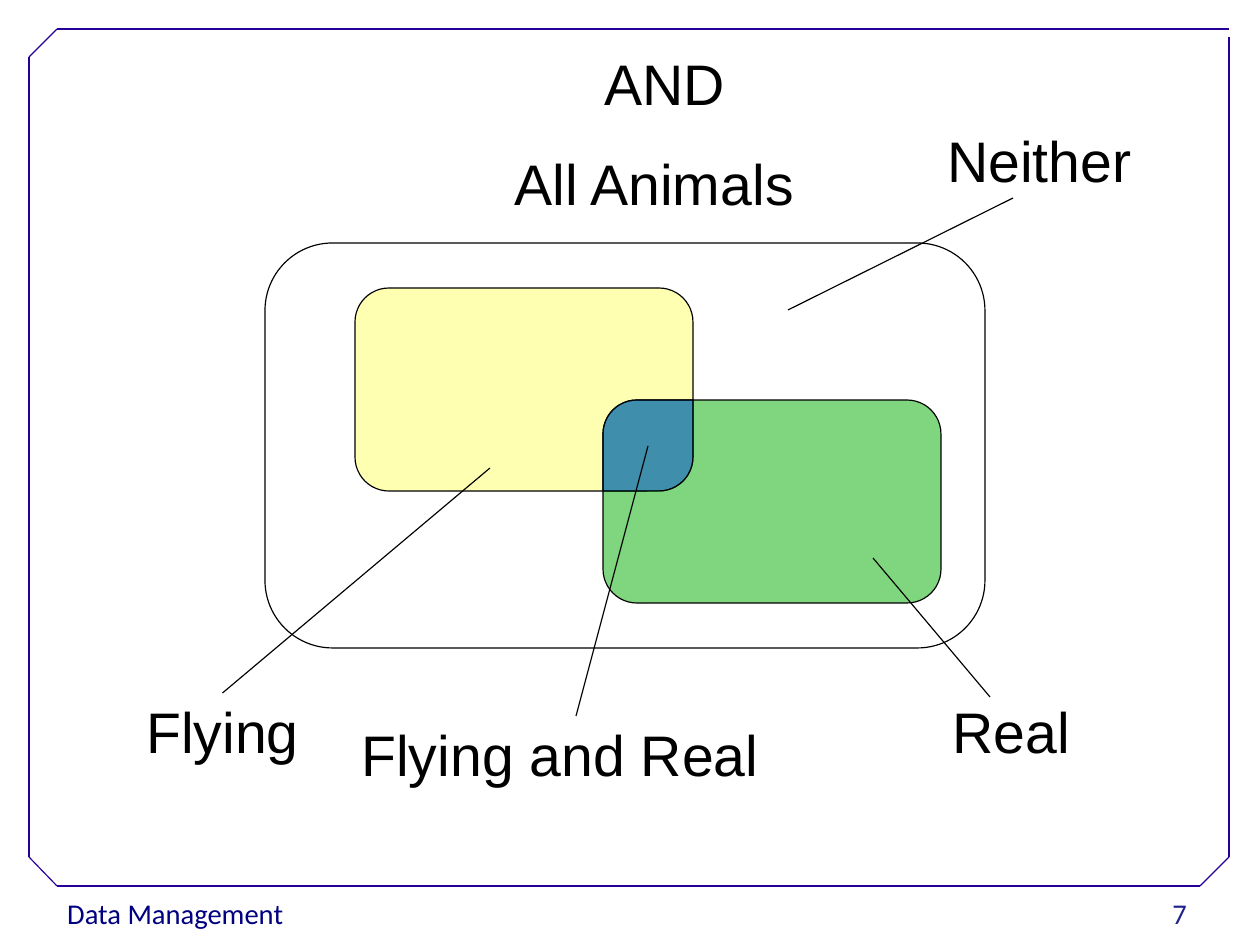
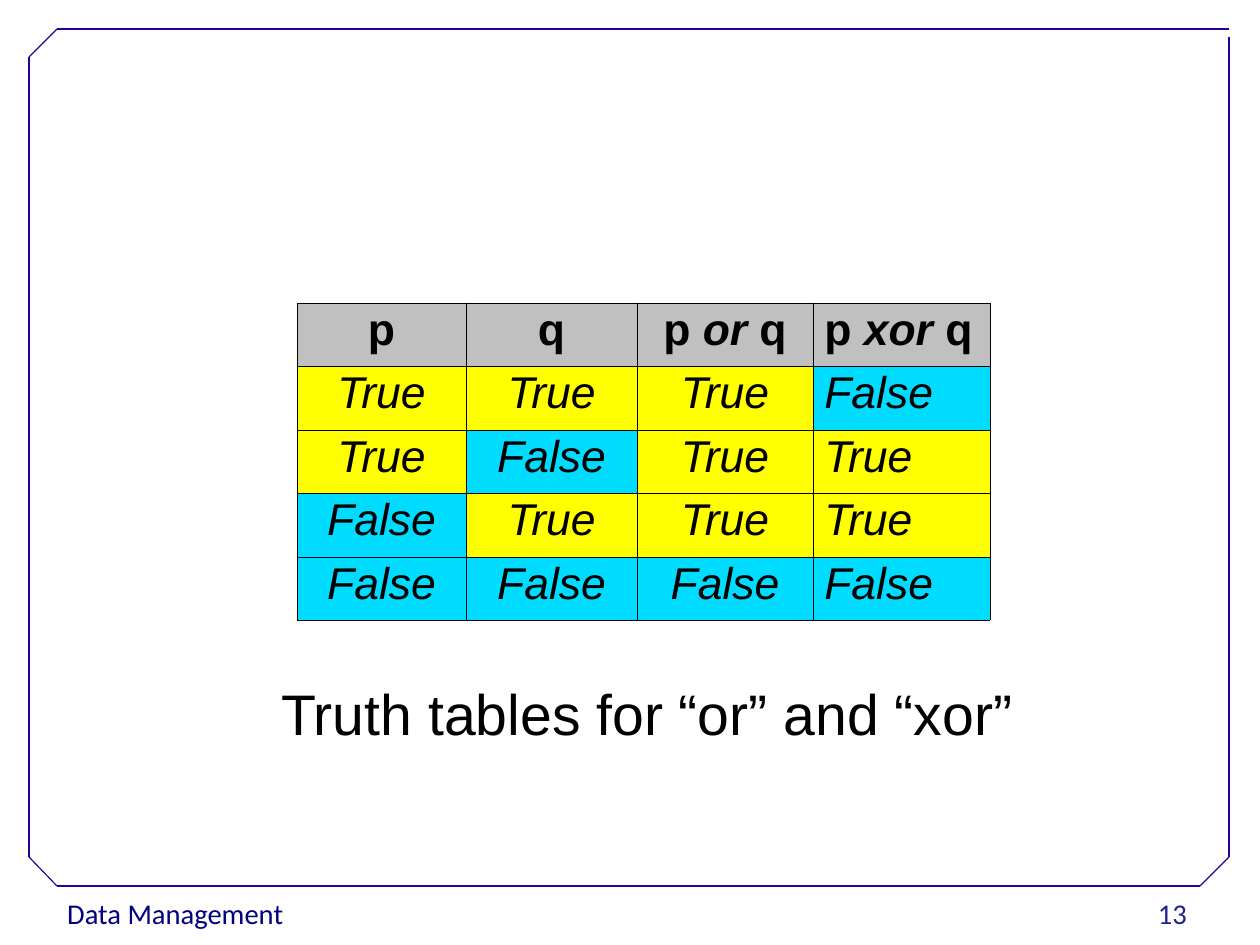
from itertools import pairwise

from lxml.etree import SubElement
from pptx import Presentation
from pptx.dml.color import RGBColor
from pptx.enum.shapes import MSO_CONNECTOR, MSO_SHAPE
from pptx.enum.text import MSO_ANCHOR, PP_ALIGN
from pptx.oxml.ns import qn
from pptx.util import Emu, Pt

PX = 8000  # EMU in one px
SLIDE_SIZE = (1260, 945)
COLORS = {
    "frame": "280099", "footer": "000080", "number": "22228B",
    "black": "000000", "white": "FFFFFF",
    "flying": "FFFF66", "real": "00AE00", "both": "0047FF",
    "header": "C0C0C0", "True": "FFFF00", "False": "00DCFF",
}
LEFT, CENTER, RIGHT = PP_ALIGN.LEFT, PP_ALIGN.CENTER, PP_ALIGN.RIGHT

FOOTER = "Data Management"
FRAME = [(1229, 29), (57, 29), (29, 57), (29, 857), (57, 886),
         (1200, 886), (1229, 857), (1229, 37)]

ANIMALS = (265, 243, 720, 405)
FLYING = (355, 288, 338, 203)
REAL = (603, 400, 338, 203)
CORNER = 0.167

# text, box, alignment
VENN_TITLES = [
    ("AND", (588, 45, 153, 75), CENTER),
    ("All Animals", (503, 145, 302, 75), LEFT),
]
# text, box, alignment, point in the diagram, end near the label (None: its top middle)
VENN_LABELS = [
    ("Flying", (135, 693, 175, 75), LEFT, (490, 468), None),
    ("Real", (941, 693, 141, 75), LEFT, (873, 558), (990, 697)),
    ("Flying and Real", (345, 716, 430, 75), CENTER, (648, 446), (576, 716)),
    ("Neither", (936, 122, 207, 75), LEFT, (788, 310), (1013, 198)),
]

TRUTH_HEADER = [("p",), ("q",), ("p ", "or", " q"), ("p ", "xor", " q")]
TRUTH_ROWS = [
    ("True", "True", "True", "False"),
    ("True", "False", "True", "True"),
    ("False", "True", "True", "True"),
    ("False", "False", "False", "False"),
]
TRUTH_ALIGN = (CENTER, CENTER, CENTER, LEFT)
TRUTH_AT = (297, 303)
TRUTH_COLUMNS = (169, 171, 176, 177)
TRUTH_HEIGHTS = (63, 64, 63, 64, 63)
TRUTH_CAPTION = ("Truth tables for “or” and “xor”", (270, 675, 754, 75), LEFT)


def emu(lengths):
    return [Emu(length * PX) for length in lengths]


def rgb(name):
    return RGBColor.from_string(COLORS[name])


def add_run(paragraph, text, size, color="black", font="Arial", bold=False, italic=False):
    run = paragraph.add_run()
    run.text = text
    run.font.name, run.font.size = font, Pt(size)
    run.font.bold, run.font.italic = bold, italic
    run.font.color.rgb = rgb(color)


def add_text(slide, text, box, align=LEFT, size=36, color="black", font="Arial",
             top_inset=9, spacing=0.93, wrap=False):
    """Text box; left-aligned text may run to its right edge, so that it keeps to one line."""
    label = slide.shapes.add_textbox(*emu(box))
    frame = label.text_frame
    frame.word_wrap = wrap
    frame.margin_top = Emu(top_inset * PX)
    if align == LEFT:
        frame.margin_right = 0
    paragraph = frame.paragraphs[0]
    paragraph.alignment, paragraph.line_spacing = align, spacing
    add_run(paragraph, text, size, color, font)
    return label


def add_line(slide, start, end, color="black"):
    line = slide.shapes.add_connector(MSO_CONNECTOR.STRAIGHT, *emu(start + end))
    line.line.color.rgb = rgb(color)
    line.line.width = Pt(0.75)
    SubElement(line._element.spPr, qn("a:effectLst"))
    return line


def add_region(slide, box, fill=None, preset=MSO_SHAPE.ROUNDED_RECTANGLE, corner=CORNER):
    """Outlined rounded area, filled at half strength if a fill is given."""
    region = slide.shapes.add_shape(preset, *emu(box))
    region.shadow.inherit = False
    region.adjustments[0] = corner
    if fill:
        region.fill.solid()
        region.fill.fore_color.rgb = rgb(fill)
        fill_color = region._element.spPr.find(qn("a:solidFill"))[0]
        SubElement(fill_color, qn("a:alpha"), val="50000")
    else:
        region.fill.background()
    region.line.color.rgb = rgb("black")
    region.line.width = Pt(0.75)


def add_borders(cell):
    properties = cell._tc.get_or_add_tcPr()
    for side in ("a:lnL", "a:lnR", "a:lnT", "a:lnB"):
        border = SubElement(properties, qn(side), w=str(Pt(0.45)))
        SubElement(SubElement(border, qn("a:solidFill")), qn("a:srgbClr"), val=COLORS["black"])


def start_slide(deck, number):
    """Add a slide with the shared frame, footer and slide number."""
    slide = deck.slides.add_slide(deck.slide_layouts[6])
    footer = add_text(slide, FOOTER, (56, 889, 240, 46), LEFT, 18, "footer", "Calibri",
                      top_inset=6, spacing=1.02)
    footer.fill.solid()
    footer.fill.fore_color.rgb = rgb("white")
    for start, end in pairwise(FRAME):
        add_line(slide, start, end, "frame")
    page = add_text(slide, str(number), (904, 890, 294, 50), RIGHT, 18, "number", "Calibri",
                    top_inset=6, wrap=True)
    page.text_frame.vertical_anchor = MSO_ANCHOR.MIDDLE
    return slide


def build_venn(deck):
    slide = start_slide(deck, 7)
    add_region(slide, ANIMALS)
    add_region(slide, FLYING, "flying")
    add_region(slide, REAL, "real")
    left, top = REAL[:2]
    width = FLYING[0] + FLYING[2] - left
    height = FLYING[1] + FLYING[3] - top
    add_region(slide, (left, top, width, height), "both", MSO_SHAPE.ROUND_2_DIAG_RECTANGLE,
               CORNER * FLYING[3] / min(width, height))
    for title in VENN_TITLES:
        add_text(slide, *title)
    for text, box, align, target, end in VENN_LABELS:
        label = add_text(slide, text, box, align)
        leader = add_line(slide, target, end or box[:2])
        if end is None:
            leader.end_connect(label, 0)


def build_truth_table(deck):
    slide = start_slide(deck, 13)
    rows = [TRUTH_HEADER] + [[(value,) for value in row] for row in TRUTH_ROWS]
    size = (sum(TRUTH_COLUMNS), sum(TRUTH_HEIGHTS))
    table = slide.shapes.add_table(len(rows), len(TRUTH_COLUMNS), *emu(TRUTH_AT + size)).table
    table.first_row = table.horz_banding = False
    for column, width in zip(table.columns, emu(TRUTH_COLUMNS)):
        column.width = width
    for table_row, height in zip(table.rows, emu(TRUTH_HEIGHTS)):
        table_row.height = height
    for r, row in enumerate(rows):
        is_header = r == 0
        for c, parts in enumerate(row):
            cell = table.cell(r, c)
            add_borders(cell)
            cell.fill.solid()
            cell.fill.fore_color.rgb = rgb("header" if is_header else parts[0])
            paragraph = cell.text_frame.paragraphs[0]
            paragraph.alignment, paragraph.line_spacing = TRUTH_ALIGN[c], 0.93
            for i, part in enumerate(parts):
                add_run(paragraph, part, 28, bold=is_header, italic=not is_header or i == 1)
    add_text(slide, *TRUTH_CAPTION)


def main():
    deck = Presentation()
    deck.slide_width, deck.slide_height = emu(SLIDE_SIZE)
    build_venn(deck)
    build_truth_table(deck)
    deck.save("out.pptx")


if __name__ == "__main__":
    main()
